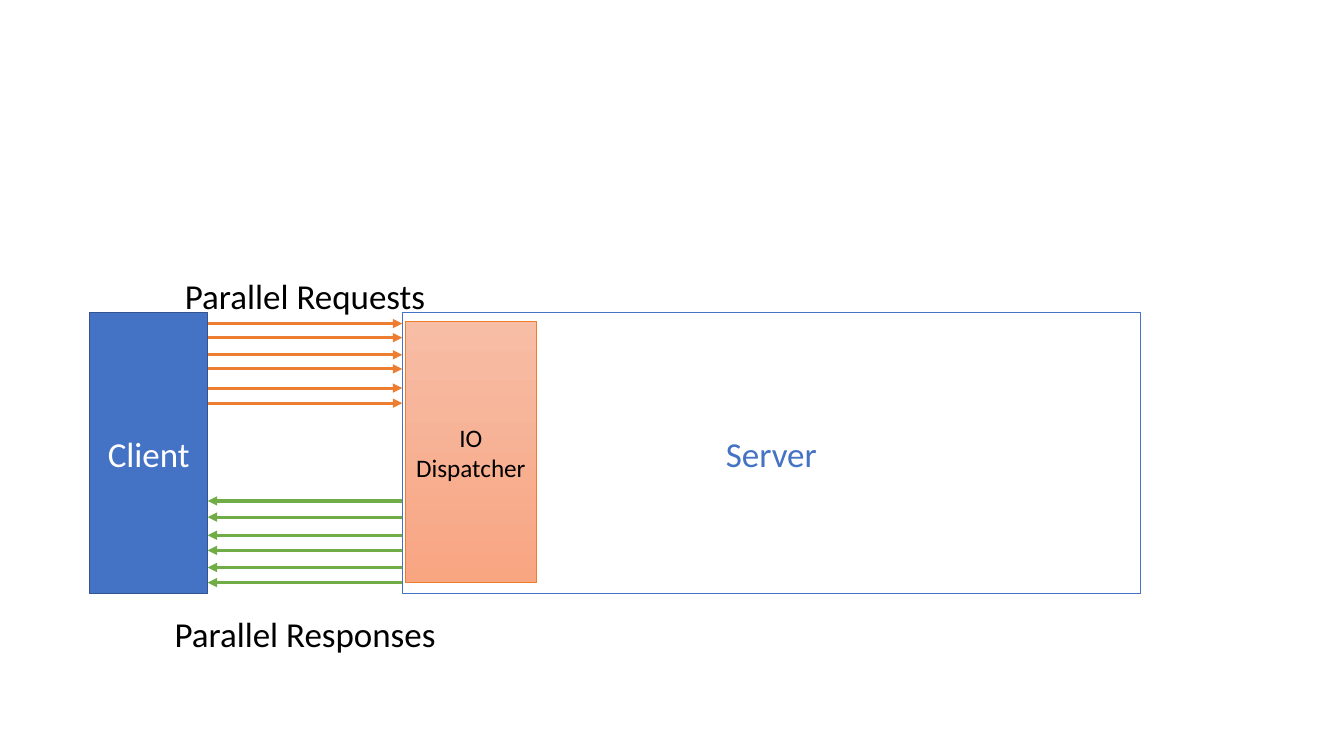
from lxml import etree
from pptx import Presentation
from pptx.dml.color import RGBColor
from pptx.enum.shapes import MSO_CONNECTOR, MSO_SHAPE
from pptx.enum.text import MSO_ANCHOR, PP_ALIGN
from pptx.oxml.ns import qn
from pptx.util import Inches, Pt

RECTANGLE = MSO_SHAPE.RECTANGLE
STRAIGHT = MSO_CONNECTOR.STRAIGHT
MIDDLE = MSO_ANCHOR.MIDDLE
CENTER = PP_ALIGN.CENTER

BLUE = RGBColor(0x44, 0x72, 0xC4)
DARK_BLUE = RGBColor(0x32, 0x54, 0x91)
ORANGE = RGBColor(0xED, 0x7D, 0x31)
GREEN = RGBColor(0x70, 0xAD, 0x47)
PEACH = RGBColor(0xF7, 0xBD, 0xA5)
SALMON = RGBColor(0xF8, 0xA5, 0x82)
WHITE = RGBColor(0xFF, 0xFF, 0xFF)
BLACK = RGBColor(0, 0, 0)

CLIENT_LEFT, CLIENT_RIGHT = 0.89, 2.06
SERVER_LEFT, SERVER_RIGHT = 3.99, 11.31
ROW_TOP, ROW_HEIGHT = 3.1, 2.79
GAP_CENTER = (CLIENT_RIGHT + SERVER_LEFT) / 2


def write(box, words, size, color):
    frame = box.text_frame
    para = frame.paragraphs[0]
    para.alignment = CENTER
    span = para.add_run()
    span.text = words
    for name, value in {"name": "Calibri", "size": Pt(size)}.items():
        setattr(span.font, name, value)
    span.font.color.rgb = color
    return frame


deck = Presentation()
deck.slide_width, deck.slide_height = Inches(13.33), Inches(7.5)
page = deck.slides.add_slide(deck.slide_layouts[6])


def add_block(words, left, top, width, height, fills, line, weight, size, color):
    box = page.shapes.add_shape(
        RECTANGLE, Inches(left), Inches(top), Inches(width), Inches(height))
    box.shadow.inherit = False
    box.line.color.rgb = line
    box.line.width = Pt(weight)
    if len(fills) == 2:
        box.fill.gradient()
        box.fill.gradient_angle = 270
        for stop, shade, position in zip(box.fill.gradient_stops, fills, (0, 1)):
            stop.color.rgb = shade
            stop.position = position
    elif fills:
        box.fill.solid()
        box.fill.fore_color.rgb = fills[0]
    else:
        box.fill.background()
    frame = write(box, words, size, color)
    settings = {"word_wrap": True, "vertical_anchor": MIDDLE,
                "margin_left": Inches(0.08), "margin_right": Inches(0.08)}
    for name, value in settings.items():
        setattr(frame, name, value)


add_block("Client", CLIENT_LEFT, ROW_TOP, CLIENT_RIGHT - CLIENT_LEFT, ROW_HEIGHT,
          [BLUE], DARK_BLUE, 1, 25, WHITE)
add_block("Server", SERVER_LEFT, ROW_TOP, SERVER_RIGHT - SERVER_LEFT, ROW_HEIGHT,
          [], BLUE, 0.75, 25, BLUE)

flows = [
    (CLIENT_RIGHT, SERVER_LEFT, ORANGE, (3.21, 3.35, 3.52, 3.66, 3.85, 4.0)),
    (SERVER_LEFT, CLIENT_RIGHT, GREEN, (4.97, 5.13, 5.31, 5.46, 5.63, 5.78)),
]
for start, end, color, rows in flows:
    for row in rows:
        arrow = page.shapes.add_connector(
            STRAIGHT, Inches(start), Inches(row), Inches(end), Inches(row))
        arrow.line.color.rgb = color
        arrow.line.width = Pt(2.25)
        outline = arrow.line._get_or_add_ln()
        etree.SubElement(outline, qn("a:tailEnd"), type="triangle")
        etree.SubElement(arrow._element.spPr, qn("a:effectLst"))

for words, top, width in [("Parallel Requests", 2.67, 2.61),
                          ("Parallel Responses", 6.03, 2.82)]:
    label = page.shapes.add_textbox(
        Inches(GAP_CENTER - width / 2), Inches(top), Inches(width), Inches(0.52))
    write(label, words, 25, BLACK).word_wrap = False

add_block("IO Dispatcher", SERVER_LEFT + 0.03, 3.19, 1.3, 2.59,
          [PEACH, SALMON], ORANGE, 0.5, 18, BLACK)

deck.save("out.pptx")
